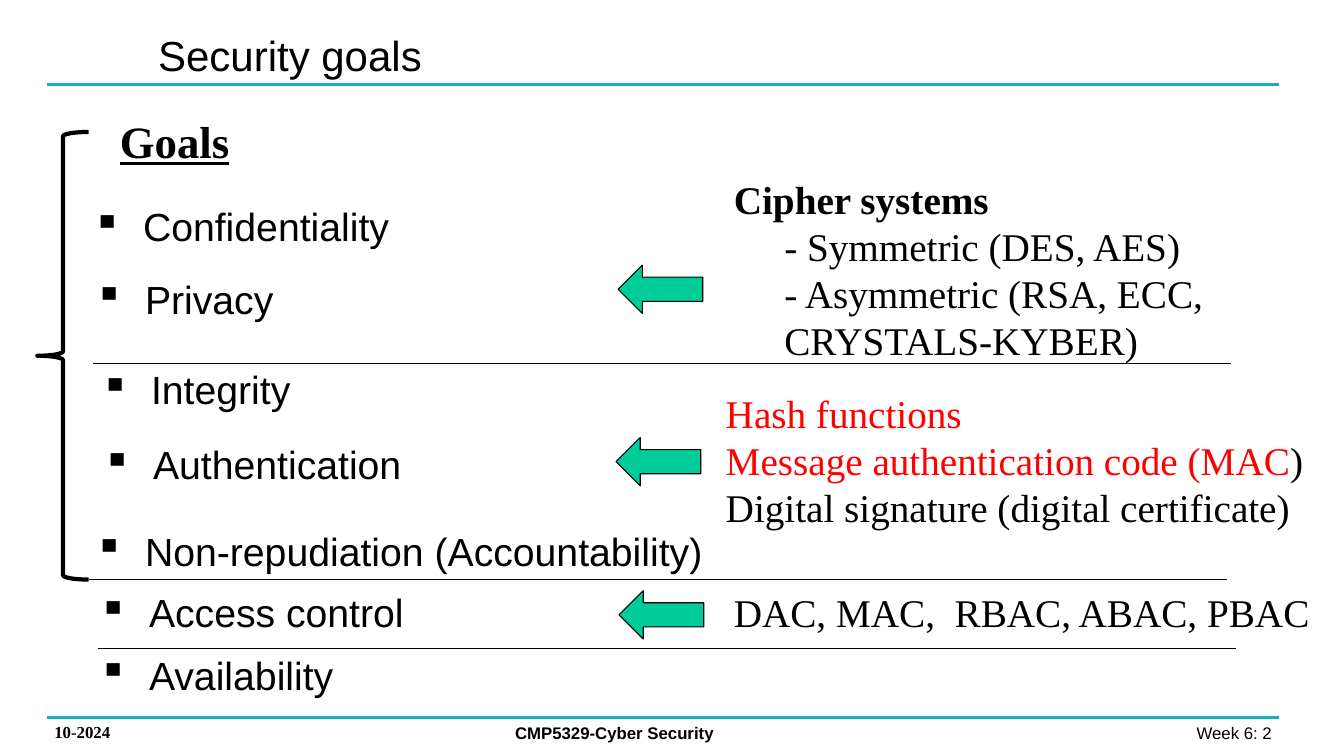
from pptx import Presentation
from pptx.dml.color import RGBColor
from pptx.enum.shapes import MSO_CONNECTOR, MSO_SHAPE
from pptx.enum.text import MSO_ANCHOR, MSO_AUTO_SIZE, PP_ALIGN
from pptx.oxml.ns import qn
from pptx.util import Inches, Pt
from lxml import etree

BLACK = RGBColor(0x00, 0x00, 0x00)
RED = RGBColor(0xFF, 0x00, 0x00)
TEAL = RGBColor(0x16, 0xAF, 0xC2)
GREEN = RGBColor(0x00, 0xCC, 0x99)
SANS, SERIF = "Arial", "Times New Roman"
STRAIGHT = MSO_CONNECTOR.STRAIGHT
DOWN_ARROW, LEFT_BRACE = MSO_SHAPE.DOWN_ARROW, MSO_SHAPE.LEFT_BRACE
TOP, MIDDLE = MSO_ANCHOR.TOP, MSO_ANCHOR.MIDDLE
LEFT, RIGHT = PP_ALIGN.LEFT, PP_ALIGN.RIGHT
FIT_SHAPE = MSO_AUTO_SIZE.SHAPE_TO_FIT_TEXT


class GoalSlide:
    """Draws styled elements on a slide grid of tenth-inch columns and rows."""

    CELL = Inches(0.1)
    INDENT = Inches(0.5)

    def __init__(self, presentation):
        self.slide = presentation.slides.add_slide(presentation.slide_layouts[6])

    def cells(self, *counts):
        return [round(count * self.CELL) for count in counts]

    def text(self, box, lines, size=28, name=SERIF, bold=False, underline=None,
             align=LEFT, anchor=TOP, wrap=True):
        shape = self.slide.shapes.add_textbox(*self.cells(*box))
        frame = shape.text_frame
        frame.word_wrap = wrap
        frame.auto_size = FIT_SHAPE if anchor == TOP else MSO_AUTO_SIZE.NONE
        frame.vertical_anchor = anchor
        for index, line in enumerate(lines):
            paragraph = frame.paragraphs[0] if index == 0 else frame.add_paragraph()
            paragraph.alignment = align
            font = paragraph.font
            font.size, font.name = Pt(size), name
            font.bold, font.underline = bold, underline
            font.color.rgb = BLACK
            paragraph.add_run().text = line
        return frame.paragraphs

    def goal(self, column, row, width, label):
        paragraph = self.text((column, row, width, 5.7), [label], name=SANS, wrap=False)[0]
        properties = self.indent(paragraph, -self.INDENT)
        bullet = etree.Element(qn("a:buChar"), char="▪")
        properties.insert_element_before(bullet, "a:tabLst", "a:defRPr", "a:extLst")

    def indent(self, paragraph, first_line=0):
        properties = paragraph._p.get_or_add_pPr()
        properties.set("marL", str(self.INDENT))
        properties.set("indent", str(first_line))
        return properties

    def rule(self, column, row, width, color=BLACK, weight=0.75):
        left, top, right = self.cells(column, row, column + width)
        connector = self.slide.shapes.add_connector(STRAIGHT, left, top, right, top)
        connector.line.color.rgb = color
        connector.line.width = Pt(weight)
        etree.SubElement(connector._element.spPr, qn("a:effectLst"))

    def outline(self, kind, box, weight):
        shape = self.slide.shapes.add_shape(kind, *self.cells(*box))
        shape.shadow.inherit = False
        shape.fill.background()
        shape.line.color.rgb = BLACK
        shape.line.width = Pt(weight)
        return shape

    def arrow(self, column, row):
        shape = self.outline(DOWN_ARROW, (column, row, 4.8, 8.4), 0.75)
        shape.rotation = 90
        shape.fill.solid()
        shape.fill.fore_color.rgb = GREEN


def main():
    presentation = Presentation()
    presentation.slide_width, presentation.slide_height = Inches(13.33), Inches(7.5)
    page = GoalSlide(presentation)

    for row in (8.4, 71.2):
        page.rule(4.7, row, 122.2, TEAL, 2.25)
    page.text((98.2, 71.2, 29.4, 3), ["Week 6: 2 "], 12, SANS, align=RIGHT)
    page.text((4.4, 71.1, 17.8, 3), ["10-2024"], 12, bold=True)
    page.text((50.1, 71.2, 40.9, 3), ["CMP5329-Cyber Security"], 12, SANS, bold=True)
    page.text((14.7, 1.1, 72.8, 8.7), ["Security goals"], 30, SANS, anchor=MIDDLE)

    page.text((10.9, 10.8, 13, 6.4), ["Goals"], 32, bold=True, underline=True, wrap=False)
    for goal in (
        (8.2, 19.6, 31.8, "Confidentiality"),
        (8.4, 26.8, 20, "Privacy"),
        (9, 35.8, 21.1, "Integrity"),
        (9.2, 43.2, 32, "Authentication"),
        (8.4, 51.8, 63.3, "Non-repudiation (Accountability)"),
        (8.8, 57.9, 32.6, "Access control"),
        (8.8, 64.1, 25.6, "Availability"),
    ):
        page.goal(*goal)

    ciphers = page.text((71.8, 16.9, 59.5, 19.9), [
        "Cipher systems",
        "- Symmetric (DES, AES)",
        "- Asymmetric (RSA, ECC, CRYSTALS-KYBER)",
    ])
    ciphers[0].font.bold = True
    for paragraph in ciphers[1:]:
        paragraph.level = 1
        page.indent(paragraph)

    hashes, codes, _ = page.text((71, 38.1, 63.3, 15.1), [
        "Hash functions",
        "Message authentication code (MAC",
        "Digital signature (digital certificate)",
    ])
    hashes.font.color.rgb = RED
    codes.runs[0].font.color.rgb = RED
    codes.add_run().text = ")"

    page.text((71.8, 57.9, 59.7, 5.7), ["DAC, MAC,  RBAC, ABAC, PBAC"], wrap=False)

    for column, row in ((9.2, 36.1), (8.8, 57.5), (9.7, 64.3)):
        page.rule(column, row, 112.9)
    for column, row in ((63.1, 24.5), (62.9, 41.6), (63.2, 56.8)):
        page.arrow(column, row)
    page.outline(LEFT_BRACE, (3.7, 13.1, 5.1, 44.4), 3)

    presentation.save("out.pptx")


if __name__ == "__main__":
    main()
